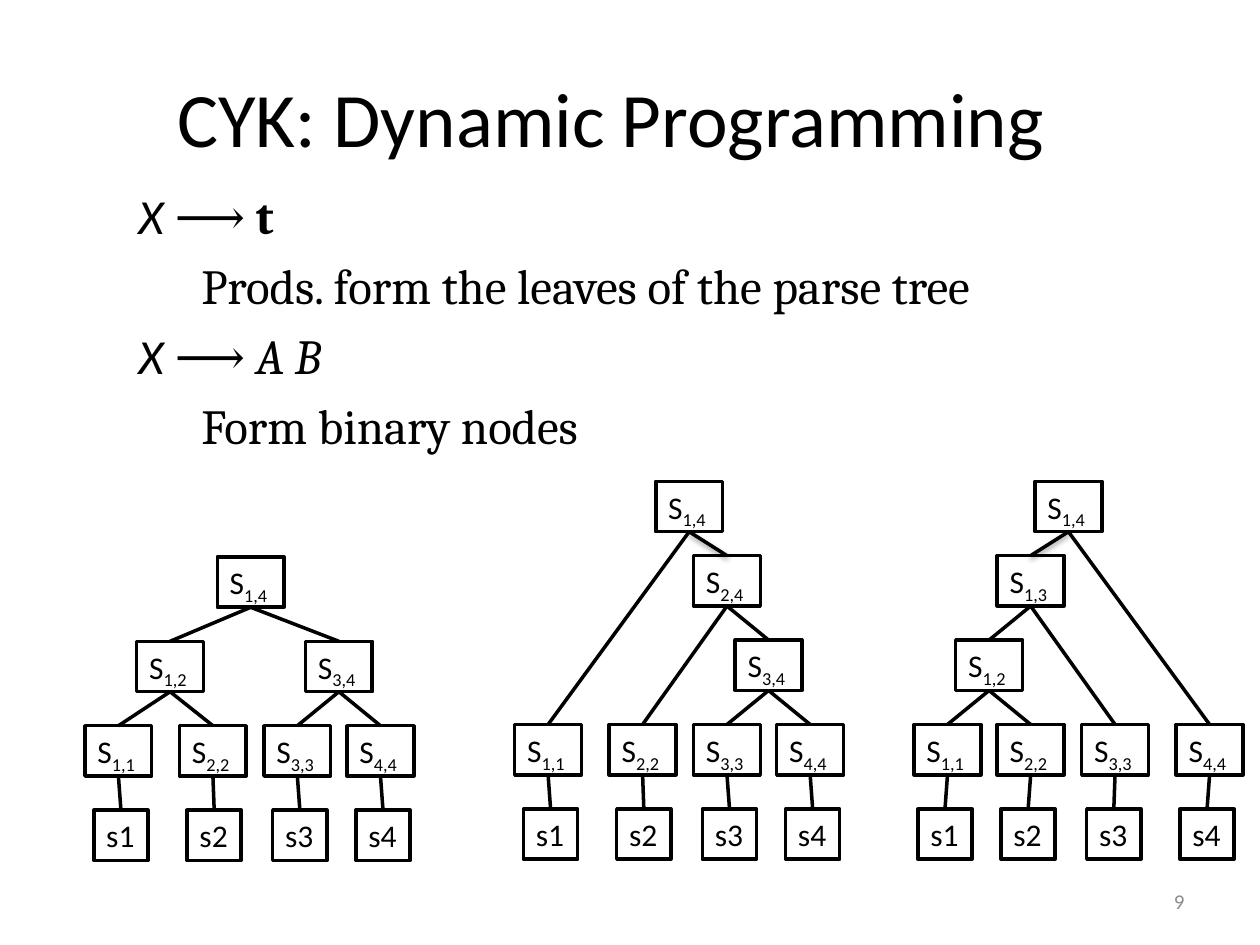
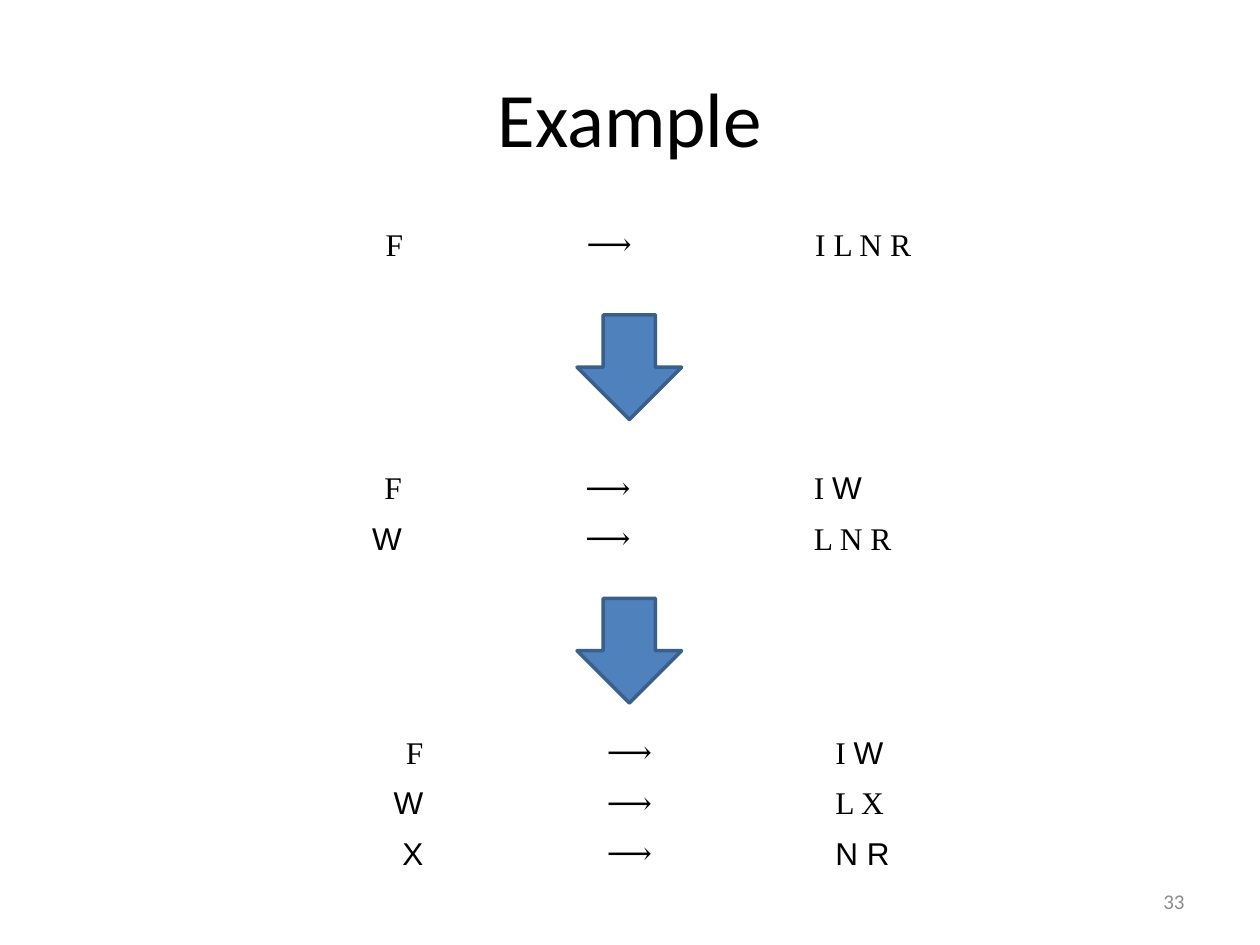
from lxml import etree
from pptx import Presentation
from pptx.dml.color import RGBColor
from pptx.enum import shapes, text
from pptx.oxml.ns import qn
from pptx.util import Inches, Pt

COLORS = {
    "ink": "000000",
    "paper": "FFFFFF",
    "number": "8C8C8C",
    "arrow": "4F81BD",
    "arrow_edge": "3A5F8C",
}
SANS, SERIF, TIMES, ARIAL = "Calibri", "Cambria", "Times New Roman", "Arial"
ALIGN = text.PP_ALIGN
MIDDLE = text.MSO_ANCHOR.MIDDLE
LONG_ARROW = "⟶"

# Parse trees: offsets are measured from the centre of the first leaf
BOX_HEIGHT, NODE_WIDTH, WORD_WIDTH = 0.4, 0.53, 0.43
LEVEL_STEP = 0.67
LEAF_OFFSETS = (0, 0.75, 1.42, 2.08)
WORD_SHIFTS = (0.02, 0.01, 0.02, 0.02)
# span: (horizontal offset, level above the leaves)
BALANCED = {(1, 2): (0.41, 1), (3, 4): (1.75, 1), (1, 4): (1.05, 2)}
RIGHT_BRANCHING = {(3, 4): (1.75, 1), (2, 4): (1.42, 2), (1, 4): (1.12, 2.88)}

COLUMN_WIDTHS = (2.96, 3.07, 2.96)
ROW_HEIGHT = 0.39


def rgb(name):
    return RGBColor.from_string(COLORS[name])


def set_font(font, name, size, color="ink"):
    font.name, font.size = name, Pt(size)
    font.color.rgb = rgb(color)


def paint(shape, fill, line):
    shape.shadow.inherit = False
    shape.fill.solid()
    shape.fill.fore_color.rgb = rgb(fill)
    shape.line.color.rgb = rgb(line)
    shape.line.width = Pt(2)


def add_text_box(page, left, top, width, height):
    box = page.shapes.add_textbox(*map(Inches, (left, top, width, height)))
    box.text_frame.word_wrap = True
    return box.text_frame


def add_page(deck, title, number, right_margin=0.1):
    """Title-only slide with the shared title style and page number."""
    page = deck.slides.add_slide(deck.slide_layouts[5])
    heading = page.shapes.title
    heading.left, heading.top = Inches(0.5), Inches(0.3)
    heading.width, heading.height = Inches(9), Inches(1.25)
    frame = heading.text_frame
    frame.text = title
    frame.vertical_anchor = MIDDLE
    frame.margin_right = Inches(right_margin)
    para = frame.paragraphs[0]
    para.alignment = ALIGN.CENTER
    set_font(para.font, SANS, 44)

    frame = add_text_box(page, 7.17, 6.95, 2.33, 0.4)
    frame.vertical_anchor = MIDDLE
    para = frame.paragraphs[0]
    para.text = str(number)
    para.alignment = ALIGN.RIGHT
    set_font(para.font, SANS, 12, "number")
    return page


def add_productions(page):
    """Rule shapes, each followed by a tabbed explanation."""
    # Each span: words, font, bold, italic
    lead = [("X ", SANS, False, True), (LONG_ARROW + " ", SERIF, False, False)]
    lines = [
        lead + [("t", SERIF, True, False)],
        [("\tProds. form the leaves of the parse tree", SERIF, False, False)],
        lead + [("A B", SERIF, False, True)],
        [("\tForm binary nodes", SERIF, False, False)],
    ]
    frame = add_text_box(page, 0.5, 1.42, 8.92, 2.25)
    for index, line in enumerate(lines):
        para = frame.add_paragraph() if index else frame.paragraphs[0]
        para.space_before = Pt(6.5)
        properties = para._p.get_or_add_pPr()
        properties.set("marL", str(Inches(0.5)))
        properties.set("indent", "0")
        for words, font_name, bold, italic in line:
            span = para.add_run()
            span.text = words
            set_font(span.font, font_name, 28)
            span.font.bold, span.font.italic = bold, italic


def add_tree_box(page, center, top, width, label, subscript=""):
    box = page.shapes.add_shape(
        shapes.MSO_SHAPE.RECTANGLE,
        *map(Inches, (center - width / 2, top, width, BOX_HEIGHT)))
    paint(box, "paper", "ink")
    frame = box.text_frame
    frame.word_wrap = False
    frame.auto_size = text.MSO_AUTO_SIZE.SHAPE_TO_FIT_TEXT
    frame.vertical_anchor = text.MSO_ANCHOR.TOP
    para = frame.paragraphs[0]
    para.alignment = ALIGN.LEFT
    set_font(para.font, SANS, 18)
    para.add_run().text = label
    if subscript:
        span = para.add_run()
        span.text = subscript
        span._r.get_or_add_rPr().set("baseline", "-25000")
    return box


def join(page, parent, child, shadow=False):
    """Line from the bottom of one box to the top of another."""
    line = page.shapes.add_connector(shapes.MSO_CONNECTOR.STRAIGHT, 0, 0, 0, 0)
    line.begin_connect(parent, 2)
    line.end_connect(child, 0)
    line.line.color.rgb = rgb("ink")
    line.line.width = Pt(2)
    effects = etree.SubElement(line._element.spPr, qn("a:effectLst"))
    if shadow:
        outer = etree.SubElement(
            effects, qn("a:outerShdw"), blurRad=str(Pt(3.1)),
            dist=str(Pt(1.6)), dir="5400000", rotWithShape="0")
        color = etree.SubElement(outer, qn("a:srgbClr"), val=COLORS["ink"])
        etree.SubElement(color, qn("a:alpha"), val="38000")


def add_tree(page, first_leaf, leaf_top, inner_nodes, mirrored=False):
    """Draw a tree; a mirrored one grows leftwards with reversed spans."""
    direction = -1 if mirrored else 1

    def flip(start, end):
        return (5 - end, 5 - start) if mirrored else (start, end)

    leaves = {(i, i): (x, 0) for i, x in enumerate(LEAF_OFFSETS, 1)}
    boxes = {}
    for span, (offset, level) in {**leaves, **inner_nodes}.items():
        center = first_leaf + direction * offset
        start, end = flip(*span)
        boxes[span] = add_tree_box(page, center, leaf_top - LEVEL_STEP * level,
                                   NODE_WIDTH, "S", f"{start},{end}")

    # Words under the leaves
    for i, (offset, shift) in enumerate(zip(LEAF_OFFSETS, WORD_SHIFTS), 1):
        center = first_leaf + direction * (offset + shift)
        word = add_tree_box(page, center, leaf_top + LEVEL_STEP, WORD_WIDTH,
                            f"s{flip(i, i)[0]}")
        join(page, boxes[i, i], word)

    # Each inner node splits into two adjacent spans
    for start, end in inner_nodes:
        for split in range(start, end):
            children = (start, split), (split + 1, end)
            if all(child in boxes for child in children):
                for child in children:
                    join(page, boxes[start, end], boxes[child],
                         shadow=child[1] - child[0] == 2)


def fill_cell(cell, spans, alignment):
    cell.fill.solid()
    cell.fill.fore_color.rgb = rgb("paper")
    cell.vertical_anchor = MIDDLE
    para = cell.text_frame.paragraphs[0]
    para.alignment = alignment
    for words, font_name in spans:
        span = para.add_run()
        span.text = words
        set_font(span.font, font_name, 18)


def add_grammar(page, left, top, rules):
    """Borderless table: left side, arrow, right side."""
    frame = page.shapes.add_table(
        len(rules), 3,
        *map(Inches, (left, top, sum(COLUMN_WIDTHS), ROW_HEIGHT * len(rules))))
    table = frame.table
    table.first_row = table.horz_banding = False
    for column, width in zip(table.columns, COLUMN_WIDTHS):
        column.width = Inches(width)
    for row, (source, target) in zip(table.rows, rules):
        row.height = Inches(ROW_HEIGHT)
        contents = [source], [(LONG_ARROW, SERIF)], target
        alignments = ALIGN.RIGHT, ALIGN.CENTER, ALIGN.LEFT
        for cell, spans, alignment in zip(row.cells, contents, alignments):
            fill_cell(cell, spans, alignment)


def add_down_arrow(page, top):
    arrow = page.shapes.add_shape(
        shapes.MSO_SHAPE.DOWN_ARROW, *map(Inches, (4.58, top, 0.83, 0.83)))
    paint(arrow, "arrow", "arrow_edge")


def main():
    deck = Presentation()
    deck.slide_width, deck.slide_height = Inches(10), Inches(7.5)

    # Dynamic programming: rules and three parse trees
    page = add_page(deck, "CYK: Dynamic Programming", 9, right_margin=0.4)
    add_productions(page)
    add_tree(page, 0.94, 5.76, BALANCED)
    add_tree(page, 4.35, 5.75, RIGHT_BRANCHING)
    add_tree(page, 9.6, 5.75, RIGHT_BRANCHING, mirrored=True)

    # Example: splitting a long rule step by step
    page = add_page(deck, "Example", 33)
    f_source, w_source = ("F", TIMES), ("W", ARIAL)
    f_split = (f_source, [("I ", TIMES), ("W", ARIAL)])
    add_grammar(page, 0.34, 1.75, [(f_source, [("I L N R", TIMES)])])
    add_down_arrow(page, 2.5)
    add_grammar(page, 0.33, 3.68, [f_split, (w_source, [("L N R", TIMES)])])
    add_down_arrow(page, 4.75)
    add_grammar(page, 0.5, 5.78, [
        f_split,
        (w_source, [("L X", TIMES)]),
        (("X", ARIAL), [("N R", ARIAL)]),
    ])

    deck.save("out.pptx")


if __name__ == "__main__":
    main()
